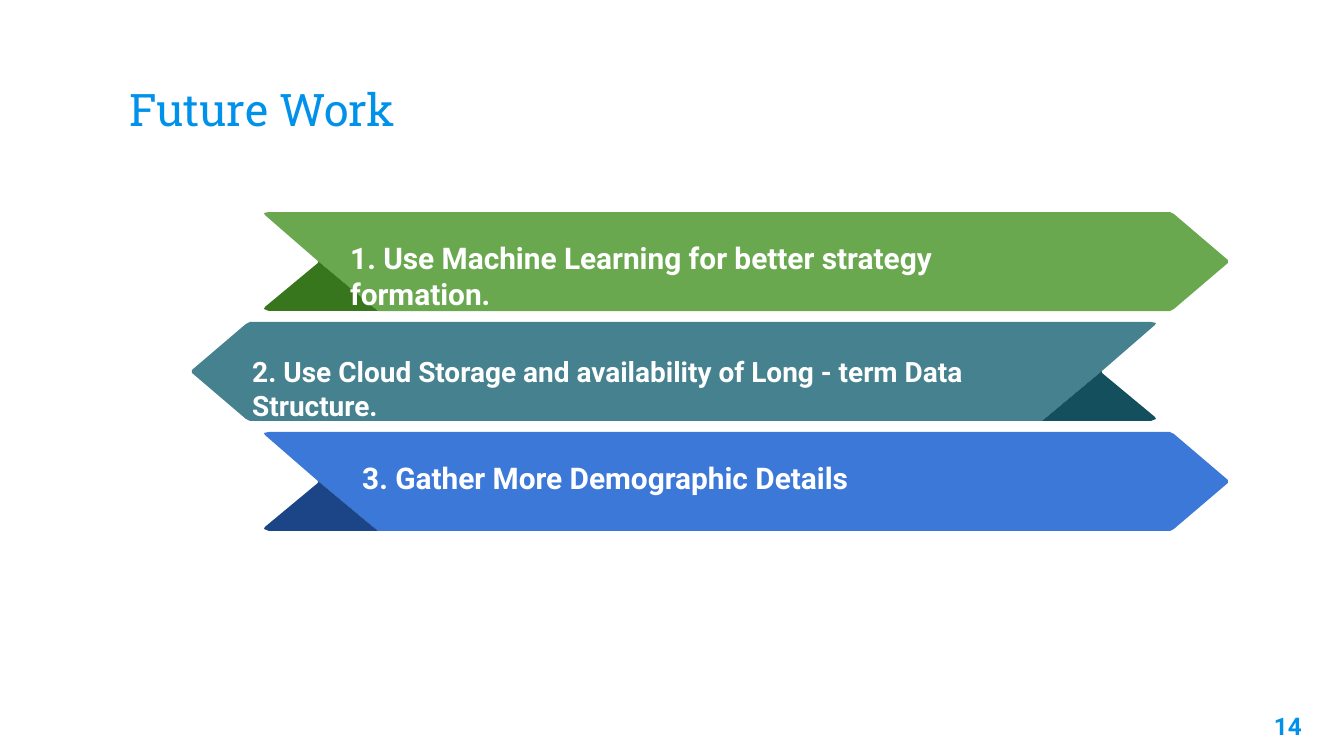
"""Build the Future Work slide with three folded ribbon arrows."""
from pptx import Presentation
from pptx.dml.color import RGBColor
from pptx.enum.text import MSO_ANCHOR, PP_ALIGN
from pptx.util import Emu, Pt

SCALE = 914400 / 134.4
BLUE = "0091EA"
WHITE = "FFFFFF"
BODY = [(5, 0), (906, 0), (910, 2), (964, 48), (964, 51), (910, 97),
        (906, 99), (114, 99), (54, 49), (1, 3), (0, 1)]
FOLD = [(54, 49), (54, 51), (1, 95), (0, 97), (5, 99), (114, 99)]
RIBBONS = [
    (264, 1, "6AA84F", "38761D", (337, 233, 745, 86), 16,
     "1. Use Machine Learning for better strategy formation."),
    (1156, -1, "45818E", "134F5C", (239, 348, 860, 47), 15,
     "2. Use Cloud Storage and availability of Long - term Data Structure."),
    (264, 1, "3C78D8", "1C4587", (349, 453, 722, 50), 16,
     "3. Gather More Demographic Details"),
]


def px(*lengths):
    return [Emu(round(length * SCALE)) for length in lengths]


def write(shape, text, size, color, font="Roboto", bold=True):
    shape.text_frame.word_wrap = True
    paragraph = shape.text_frame.paragraphs[0]
    paragraph.text = text
    paragraph.font.name = font
    paragraph.font.size = Pt(size)
    paragraph.font.bold = bold
    paragraph.font.color.rgb = RGBColor.from_string(color)
    return paragraph


presentation = Presentation()
presentation.slide_width, presentation.slide_height = px(1344, 756)
slide = presentation.slides.add_slide(presentation.slide_layouts[5])

title = slide.shapes.title
title.left, title.top, title.width, title.height = px(116, 46, 1113, 103)
title_paragraph = write(title, "Future Work", 24, BLUE, "Roboto Slab", False)
title_paragraph.alignment = PP_ALIGN.LEFT
title.text_frame.vertical_anchor = MSO_ANCHOR.BOTTOM

number = slide.shapes.add_textbox(*px(1235, 698, 80, 58))
write(number, "14", 13, BLUE).alignment = PP_ALIGN.RIGHT

for shape in (title, number):
    shape.text_frame.margin_top, shape.text_frame.margin_bottom = px(13, 13)

for row, (tail, direction, body_color, fold_color, *_) in enumerate(RIBBONS):
    top = 212 + 110 * row
    for outline, color in ((BODY, body_color), (FOLD, fold_color)):
        points = [(tail + direction * x, top + y) for x, y in outline]
        builder = slide.shapes.build_freeform(*points[0], scale=SCALE)
        builder.add_line_segments(points[1:], close=True)
        ribbon = builder.convert_to_shape()
        ribbon.shadow.inherit = False
        ribbon.fill.solid()
        ribbon.fill.fore_color.rgb = RGBColor.from_string(color)
        ribbon.line.fill.background()

for *_, box, size, text in RIBBONS:
    write(slide.shapes.add_textbox(*px(*box)), text, size, WHITE)

presentation.save("out.pptx")
